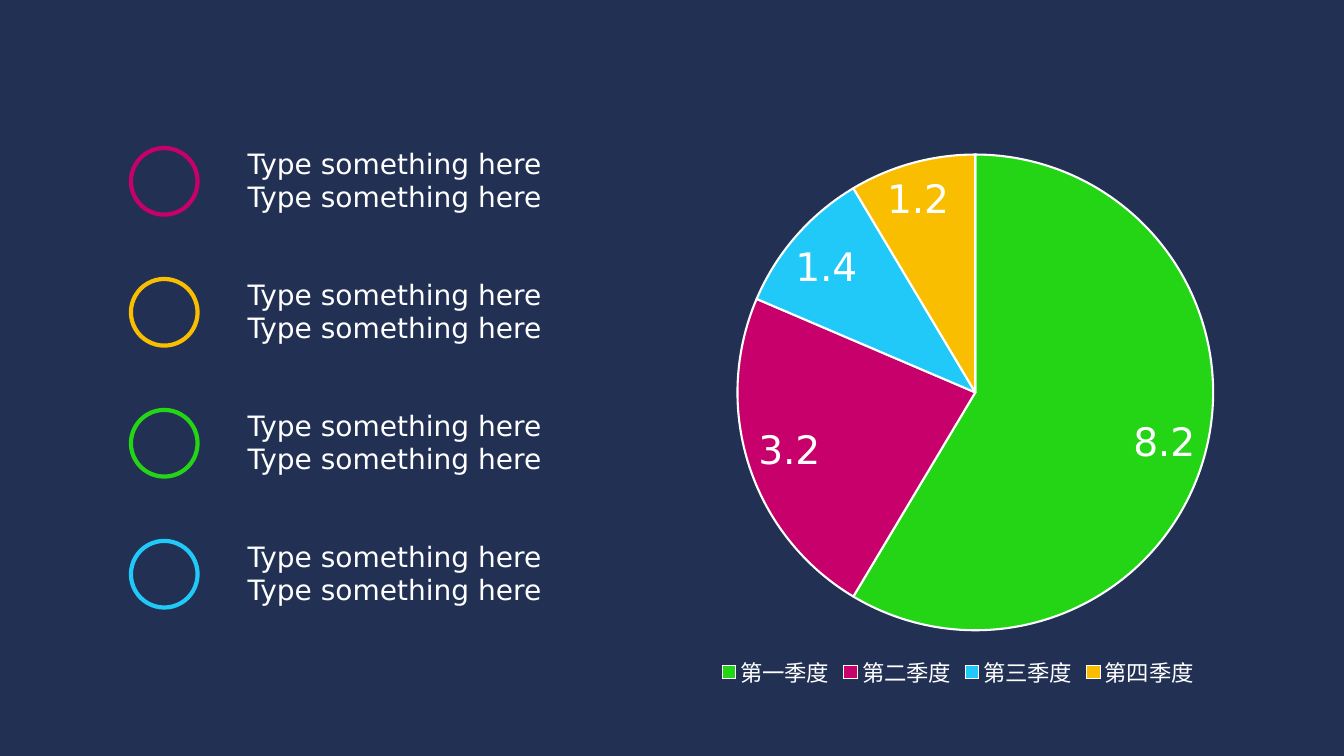
from lxml import etree
from pptx import Presentation
from pptx.chart.data import CategoryChartData
from pptx.dml.color import RGBColor
from pptx.enum.chart import XL_CHART_TYPE, XL_LABEL_POSITION, XL_LEGEND_POSITION
from pptx.enum.shapes import MSO_SHAPE
from pptx.oxml.ns import qn
from pptx.util import Cm, Pt

PIE = XL_CHART_TYPE.PIE
BEST = XL_LABEL_POSITION.BEST_FIT
BOTTOM = XL_LEGEND_POSITION.BOTTOM
OVAL = MSO_SHAPE.OVAL

FONT = "DejaVu Sans"
NAVY, WHITE, BLACK = "223054", "FFFFFF", "000000"
PINK, GOLD, GREEN, BLUE = "C7006B", "FABE00", "23D515", "20C9F8"

ITEMS = [(color, "Type something here\nType something here")
         for color in (PINK, GOLD, GREEN, BLUE)]
QUARTERS = [
    ("第一季度", 8.2, GREEN),
    ("第二季度", 3.2, PINK),
    ("第三季度", 1.4, BLUE),
    ("第四季度", 1.2, GOLD),
]
# Pie within its frame, as shares of the frame's width and height
PLOT = {"x": 0.254, "y": 0.1, "w": 0.531, "h": 0.796}

TOP, STEP = 3.56, 3.3
RING = 1.68


def paint(target, color):
    """Give a fill a solid colour."""
    target.solid()
    target.fore_color.rgb = RGBColor.from_string(color)


def style(font, size, color):
    font.name = FONT
    font.size = Pt(size)
    font.color.rgb = RGBColor.from_string(color)


def add_item(slide, row, color, text):
    top = TOP + row * STEP
    box = slide.shapes.add_textbox(Cm(5.99), Cm(top), Cm(8.51), Cm(2.82))
    frame = box.text_frame
    frame.word_wrap = True
    frame.text = text
    for para in frame.paragraphs:
        for run in para.runs:
            style(run.font, 20, WHITE)

    ring = slide.shapes.add_shape(OVAL, Cm(3.3), Cm(top + 0.17), Cm(RING), Cm(RING))
    ring.shadow.inherit = False
    ring.fill.background()
    paint(ring.line.fill, color)
    ring.line.width = Pt(3)


def place_plot(chart):
    """Fix the inner plot area at the shares in PLOT."""
    area = chart._chartSpace.chart.plotArea
    for old in area.findall(qn("c:layout")):
        area.remove(old)
    layout = etree.Element(qn("c:layout"))
    manual = etree.SubElement(layout, qn("c:manualLayout"))
    parts = [("layoutTarget", "inner"), ("xMode", "edge"), ("yMode", "edge")]
    for tag, value in parts + list(PLOT.items()):
        etree.SubElement(manual, qn("c:" + tag)).set("val", str(value))
    area.insert(0, layout)


def add_pie(slide):
    names, values, colors = zip(*QUARTERS)
    data = CategoryChartData()
    data.categories = names
    data.add_series("Series 1", values)
    chart = slide.shapes.add_chart(
        PIE, Cm(12.85), Cm(2.39), Cm(22.58), Cm(15.06), data).chart
    style(chart.font, 10, BLACK)
    chart.has_title = False
    place_plot(chart)

    chart.has_legend = True
    chart.legend.position = BOTTOM
    chart.legend.include_in_layout = False
    style(chart.legend.font, 16, WHITE)

    plot = chart.plots[0]
    plot.vary_by_categories = True
    series = plot.series[0]
    for i, color in enumerate(colors):
        slice_ = series.points[i].format
        paint(slice_.fill, color)
        paint(slice_.line.fill, WHITE)
        slice_.line.width = Pt(1.5)

    labels = series.data_labels
    labels.show_value = True
    labels.position = BEST
    style(labels.font, 28, WHITE)


def main():
    deck = Presentation()
    deck.slide_width, deck.slide_height = Cm(33.87), Cm(19.05)
    slide = deck.slides.add_slide(deck.slide_layouts[6])
    paint(slide.background.fill, NAVY)
    add_pie(slide)
    for row, (color, text) in enumerate(ITEMS):
        add_item(slide, row, color, text)
    deck.save("out.pptx")


if __name__ == "__main__":
    main()
